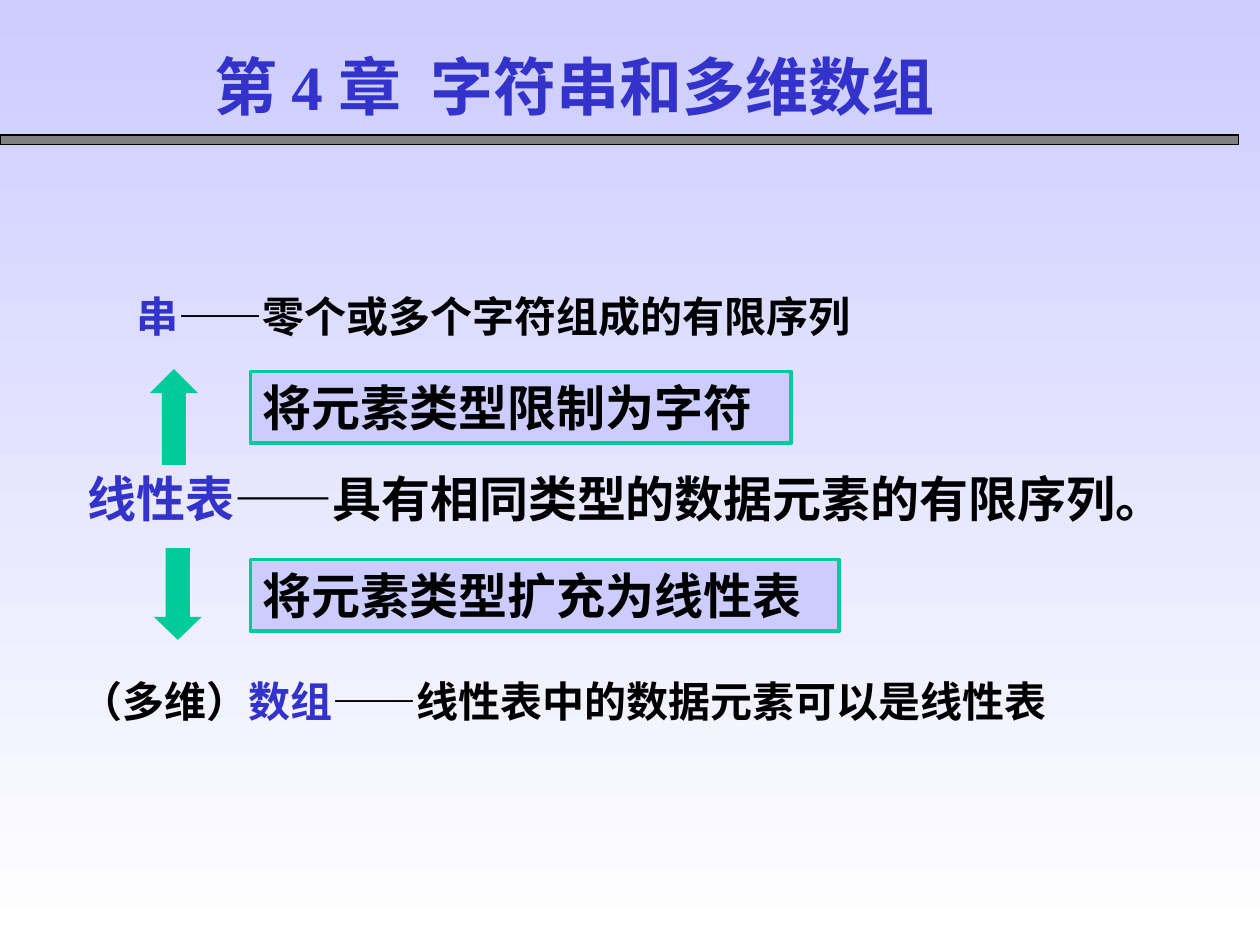
from dataclasses import dataclass

from lxml.etree import SubElement
from pptx import Presentation
from pptx.dml.color import RGBColor
from pptx.enum.shapes import MSO_SHAPE as Shape
from pptx.enum.text import MSO_ANCHOR as Anchor, MSO_AUTO_SIZE as AutoSize, PP_ALIGN as Align
from pptx.oxml.ns import qn
from pptx.util import Cm, Pt


@dataclass(frozen=True)
class Theme:
    accent: RGBColor = RGBColor(0x33, 0x33, 0xCC)
    ink: RGBColor = RGBColor(0, 0, 0)
    lavender: RGBColor = RGBColor(0xCC, 0xCC, 0xFF)
    white: RGBColor = RGBColor(0xFF, 0xFF, 0xFF)
    green: RGBColor = RGBColor(0x00, 0xCC, 0x99)
    grey: RGBColor = RGBColor(0x80, 0x80, 0x80)
    title_font: str = "Times New Roman"
    text_font: str = "Arial"
    cjk_font: str = "Noto Sans CJK SC"
    title_size: int = 36
    main_size: int = 28
    side_size: int = 24


@dataclass(frozen=True)
class Area:
    """A rectangle on the slide, in centimetres."""
    left: float
    top: float
    width: float
    height: float

    def lengths(self) -> tuple:
        return Cm(self.left), Cm(self.top), Cm(self.width), Cm(self.height)


@dataclass(frozen=True)
class Definition:
    area: Area
    prefix: str
    term: str
    meaning: str
    size: int
    term_font: str
    meaning_font: str
    line_spacing: float = 1.0


@dataclass(frozen=True)
class Step:
    """A change of element type: its arrow and its boxed label."""
    label: str
    box: Area
    arrow: Area
    direction: Shape
    head: float


THEME = Theme()
DEFINITIONS = [
    Definition(Area(2.51, 5.74, 19.43, 1.27), "", "串", "零个或多个字符组成的有限序列",
               THEME.side_size, THEME.cjk_font, THEME.cjk_font),
    Definition(Area(1.52, 9.32, 22.45, 1.45), "", "线性表", "具有相同类型的数据元素的有限序列。",
               THEME.main_size, THEME.text_font, THEME.text_font),
    Definition(Area(1.37, 13.39, 20.73, 1.37), "（多维）", "数组", "线性表中的数据元素可以是线性表",
               THEME.side_size, THEME.text_font, THEME.text_font, 1.1),
]
STEPS = [
    Step("将元素类型限制为字符", Area(5.05, 7.49, 10.9, 1.45),
         Area(3.02, 7.44, 0.97, 1.93), Shape.UP_ARROW, 0.5),
    Step("将元素类型扩充为线性表", Area(5.05, 11.28, 11.86, 1.45),
         Area(3.1, 11.05, 0.97, 1.85), Shape.DOWN_ARROW, 0.48),
]


def paint_background(slide) -> None:
    fill = slide.background.fill
    fill.gradient()
    fill.gradient_angle = 270
    for stop, color in zip(fill.gradient_stops, (THEME.lavender, THEME.white)):
        stop.color.rgb = color


def add_figure(slide, kind: Shape, area: Area, fill: RGBColor,
               border: RGBColor | None = None, border_width: float = 0.75):
    figure = slide.shapes.add_shape(kind, *area.lengths())
    figure.shadow.inherit = False
    figure.fill.solid()
    figure.fill.fore_color.rgb = fill
    if border is None:
        figure.line.fill.background()
    else:
        figure.line.color.rgb = border
        figure.line.width = Pt(border_width)
    return figure


def start_paragraph(frame, size: int):
    """Set the frame up for one bold, left-aligned paragraph and return it."""
    frame.word_wrap = True
    frame.auto_size = AutoSize.NONE
    frame.vertical_anchor = Anchor.TOP
    paragraph = frame.paragraphs[0]
    paragraph.alignment = Align.LEFT
    paragraph.font.size = Pt(size)
    paragraph.font.bold = True
    return paragraph


def add_text_shadow(run) -> None:
    effects = SubElement(run._r.get_or_add_rPr(), qn("a:effectLst"))
    shadow = SubElement(effects, qn("a:outerShdw"), dist="35921", dir="2700000")
    SubElement(shadow, qn("a:srgbClr"), val=str(THEME.grey))


def add_title(slide, text: str, area: Area) -> None:
    title = slide.shapes.title
    title.left, title.top, title.width, title.height = area.lengths()
    heading = start_paragraph(title.text_frame, THEME.title_size)
    heading.font.name = THEME.title_font
    heading.font.color.rgb = THEME.accent
    run = heading.add_run()
    run.text = text
    add_text_shadow(run)


def add_definition(slide, definition: Definition) -> None:
    box = slide.shapes.add_textbox(*definition.area.lengths())
    sentence = start_paragraph(box.text_frame, definition.size)
    sentence.line_spacing = definition.line_spacing
    parts = [
        (definition.prefix, THEME.text_font, THEME.ink),
        (definition.term, definition.term_font, THEME.accent),
        ("——", THEME.cjk_font, THEME.ink),
        (definition.meaning, definition.meaning_font, THEME.ink),
    ]
    for text, font, color in parts:
        if text:
            run = sentence.add_run()
            run.text = text
            run.font.name = font
            run.font.color.rgb = color


def add_step(slide, step: Step) -> None:
    arrow = add_figure(slide, step.direction, step.arrow, THEME.green)
    arrow.adjustments[0] = 0.5
    arrow.adjustments[1] = step.head
    box = add_figure(slide, Shape.RECTANGLE, step.box, THEME.lavender, THEME.green, 2.25)
    label = start_paragraph(box.text_frame, THEME.main_size)
    label.font.name = THEME.text_font
    label.font.color.rgb = THEME.ink
    label.add_run().text = step.label


def main() -> None:
    deck = Presentation()
    deck.slide_width, deck.slide_height = Cm(25.4), Cm(19.05)
    slide = deck.slides.add_slide(deck.slide_layouts.get_by_name("Title Only"))
    paint_background(slide)
    add_figure(slide, Shape.RECTANGLE, Area(0, 2.72, 24.97, 0.2), THEME.grey, THEME.ink)
    add_title(slide, "第 4 章  字符串和多维数组", Area(4.06, 0.84, 15.82, 1.78))
    for definition in DEFINITIONS:
        add_definition(slide, definition)
    for step in STEPS:
        add_step(slide, step)
    deck.save("out.pptx")


if __name__ == "__main__":
    main()
